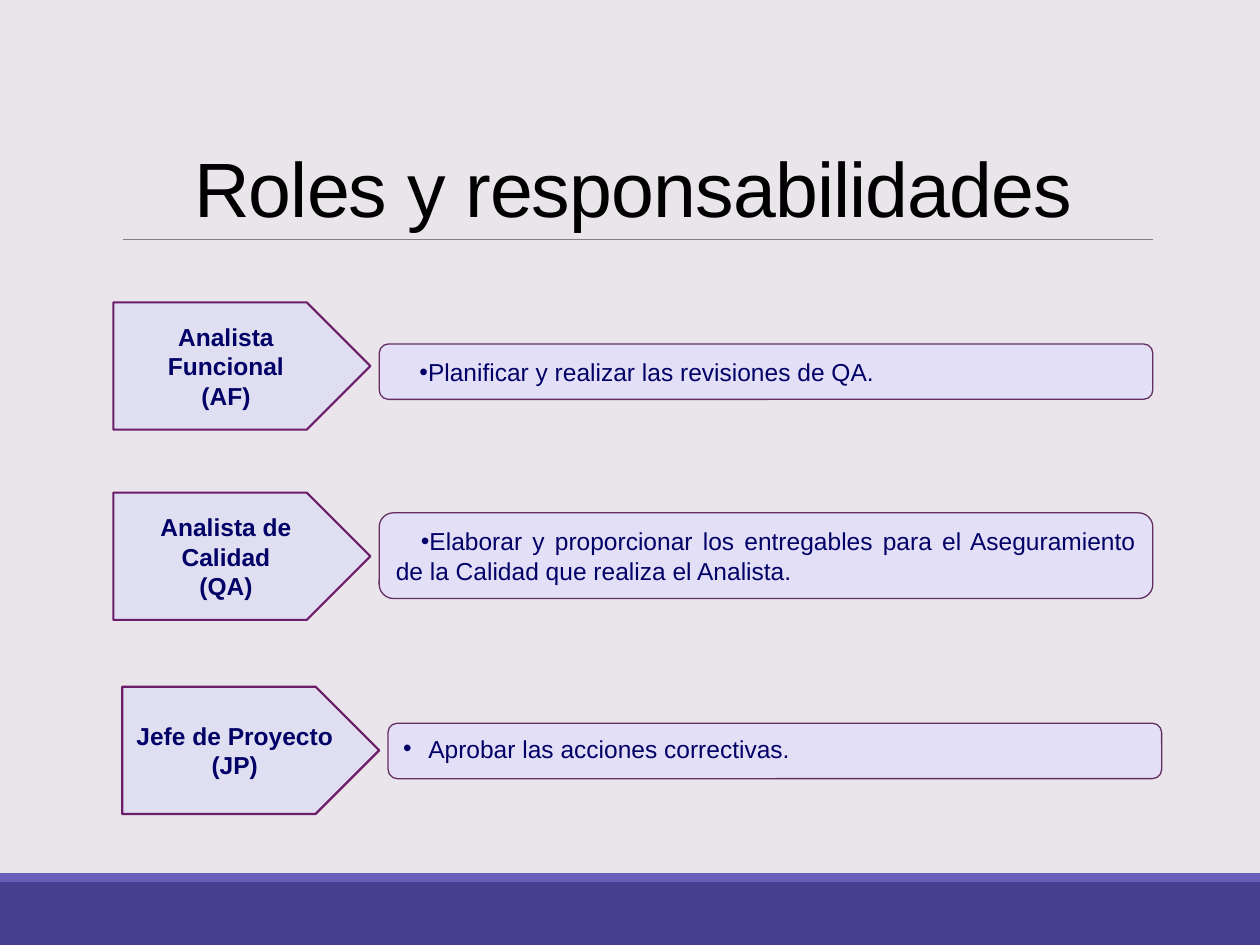
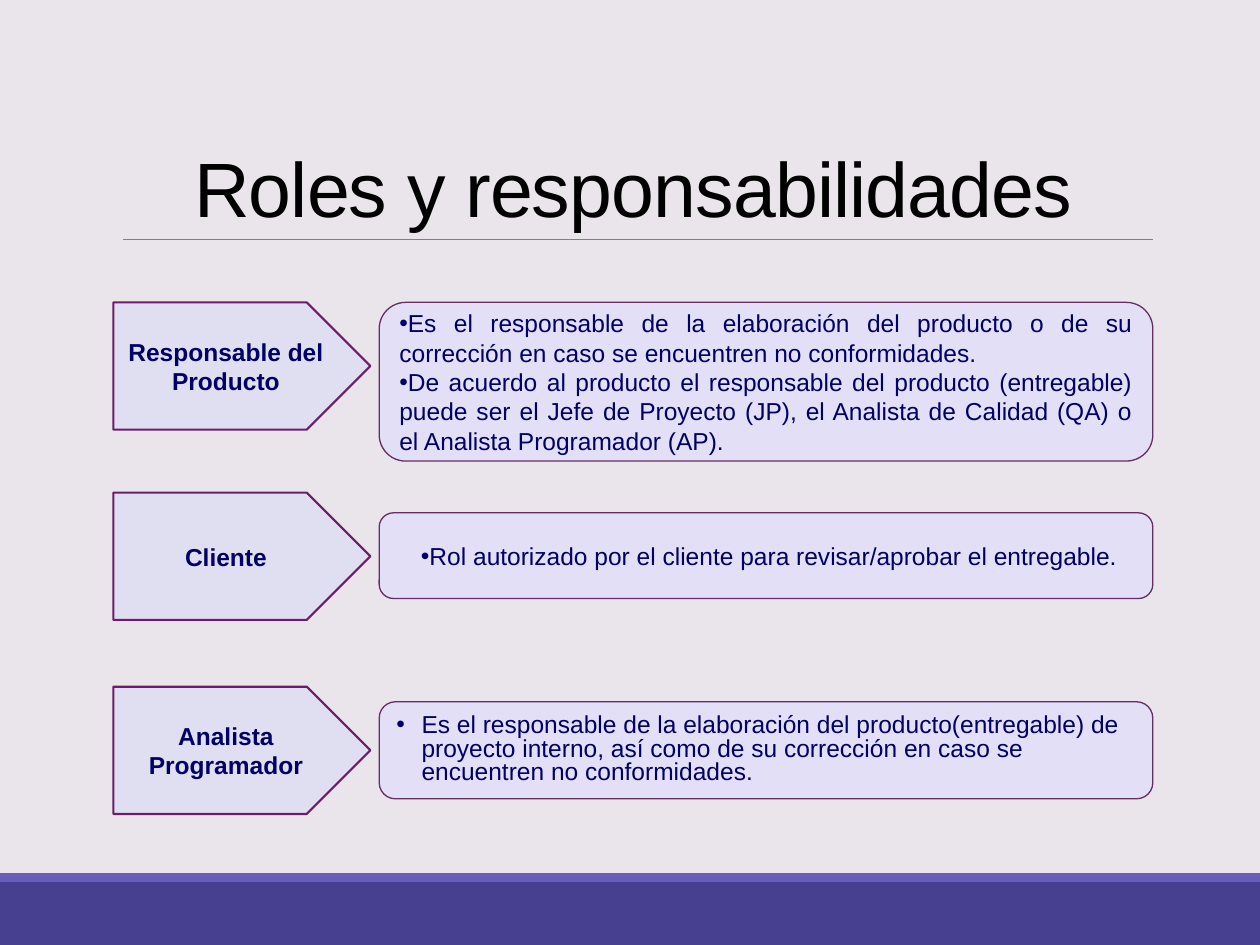
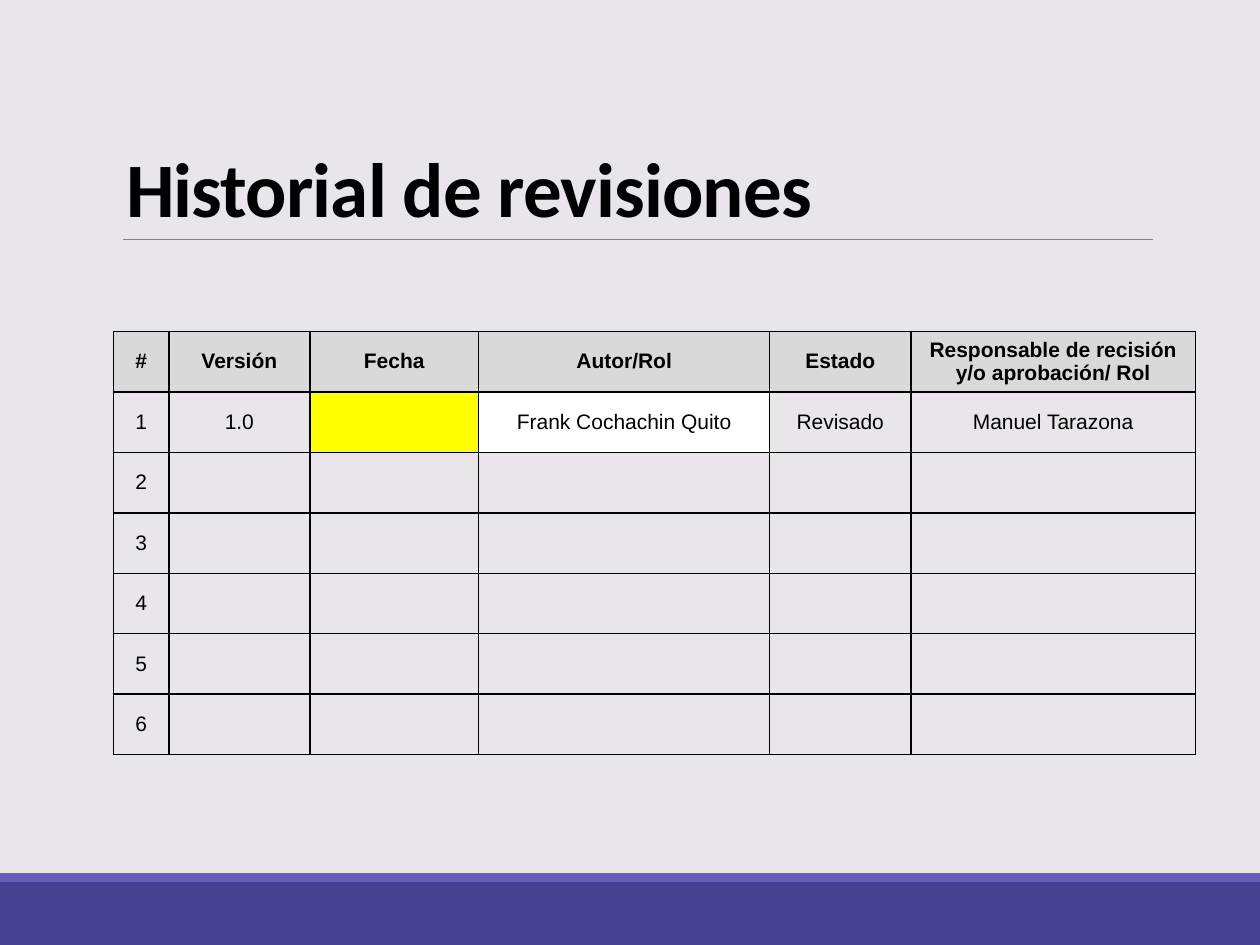
from lxml import etree
from pptx import Presentation, util as u
from pptx.dml.color import RGBColor
from pptx.enum import shapes, text
from pptx.oxml import ns

HUES = {
    "back": "EAE5EB", "band": "474091", "strip": "665EB8", "rule": "808080",
    "ink": "000000", "navy": "000066", "role": "E0DFF1", "edge": "6C1D6A",
    "duty": "E3DFF7", "rim": "632E62", "head": "D9D9D9", "mark": "FFFF00",
    "white": "FFFFFF",
}
RGB = {name: RGBColor.from_string(code) for name, code in HUES.items()}
WIDE, HIGH = 10, 7.5
LEFT, RIGHT = 0.9, 9.15
MID, LEAD, JUST = text.PP_ALIGN.CENTER, text.PP_ALIGN.LEFT, text.PP_ALIGN.JUSTIFY
KIND = shapes.MSO_SHAPE


def style(par, size, hue, align, bold=False, face="Arial"):
    """Align a paragraph and format all its runs."""
    par.alignment = align
    for run in par.runs:
        font = run.font
        font.name, font.size, font.bold = face, u.Pt(size), bold
        font.color.rgb = RGB[hue]


def draw(slide, kind, box, fill, edge=None, width=0):
    """Add a flat shape at box (left, top, width, height in inches)."""
    shape = slide.shapes.add_shape(kind, *[u.Inches(n) for n in box])
    shape.shadow.inherit = False
    shape.fill.solid()
    shape.fill.fore_color.rgb = RGB[fill]
    if edge:
        shape.line.color.rgb = RGB[edge]
        shape.line.width = u.Pt(width)
    else:
        shape.line.fill.background()
    return shape


deck = Presentation()
deck.slide_width, deck.slide_height = u.Inches(WIDE), u.Inches(HIGH)
look = deck.slide_layouts[5]
look.background.fill.solid()
look.background.fill.fore_color.rgb = RGB["back"]

# Title frame shared through the layout
frame = look.placeholders[0]
frame.left, frame.top = u.Inches(LEFT), u.Inches(0.31)
frame.width, frame.height = u.Inches(RIGHT - LEFT), u.Inches(1.59)
frame.text_frame.vertical_anchor = text.MSO_ANCHOR.BOTTOM

titles = [
    ("Roles y responsabilidades", MID, "Arial", False),
    ("Roles y responsabilidades", MID, "Arial", False),
    ("Historial de revisiones", LEAD, "Calibri", True),
]
slides = []
for words, align, face, bold in titles:
    slide = deck.slides.add_slide(look)
    slide.shapes.title.text_frame.text = words
    par = slide.shapes.title.text_frame.paragraphs[0]
    par.line_spacing = 0.85
    style(par, 44, "ink", align, bold, face)
    par.runs[0]._r.get_or_add_rPr().set("spc", "-50")
    slides.append(slide)

# Footer bands and title rule, moved from the first slide to the layout
band = draw(slides[0], KIND.RECTANGLE, (0, 7, WIDE, 0.5), "band")
strip = draw(slides[0], KIND.RECTANGLE, (0, 6.93, WIDE, 0.07), "strip")
rule = slides[0].shapes.add_connector(
    shapes.MSO_CONNECTOR.STRAIGHT, *[u.Inches(n) for n in (0.98, 1.9, RIGHT, 1.9)])
rule.line.color.rgb = RGB["rule"]
rule.line.width = u.Pt(0.5)
etree.SubElement(rule.element.spPr, ns.qn("a:effectLst"))
for part in (band, strip, rule):
    look.shapes.element.append(part.element)

# Roles: name, shift, duty top, duty height, margin, indent, duties
ROWS = [2.4, 3.91, 5.45]
roles = [
    [
        ("Analista Funcional\n(AF)", 0, 2.73, 0.44, 0, 0.2,
         "Planificar y realizar las revisiones de QA."),
        ("Analista de Calidad\n(QA)", 0, 4.07, 0.68, 0, 0.2,
         "Elaborar y proporcionar los entregables para el Aseguramiento "
         "de la Calidad que realiza el Analista."),
        ("Jefe de Proyecto\n(JP)", 0.07, 5.74, 0.44, 0.2, -0.2,
         "Aprobar las acciones correctivas."),
    ],
    [
        ("Responsable del Producto", 0, 2.4, 1.26, 0, 0,
         "Es el responsable de la elaboración del producto o de su "
         "corrección en caso se encuentren no conformidades.\n"
         "De acuerdo al producto el responsable del producto (entregable) "
         "puede ser el Jefe de Proyecto (JP), el Analista de Calidad (QA) "
         "o el Analista Programador (AP)."),
        ("Cliente", 0, 4.07, 0.68, 0, 0.2,
         "Rol autorizado por el cliente para revisar/aprobar el entregable."),
        ("Analista Programador", 0, 5.57, 0.77, 0.2, -0.2,
         "Es el responsable de la elaboración del producto(entregable) de "
         "proyecto interno, así como de su corrección en caso se "
         "encuentren no conformidades."),
    ],
]
for slide, group in zip(slides, roles):
    for row, (name, shift, top, tall, margin, indent, duties) in zip(ROWS, group):
        role = draw(slide, KIND.PENTAGON, (LEFT + shift, row, 2.04, 1.01),
                    "role", "edge", 1.25)
        role.text_frame.text = name
        for par in role.text_frame.paragraphs:
            style(par, 14, "navy", MID, True)

        duty = draw(slide, KIND.ROUNDED_RECTANGLE, (3.01 + shift, top, 6.14, tall),
                    "duty", "rim", 0.75)
        duty.text_frame.text = duties
        for par in duty.text_frame.paragraphs:
            hang = indent < 0
            style(par, 14, "navy", LEAD if hang else JUST)
            if hang:
                par.line_spacing = 0.8
                par.space_before = par.space_after = u.Pt(3.5)
            props = par._p.get_or_add_pPr()
            props.set("marL", str(u.Inches(margin)))
            props.set("indent", str(u.Inches(indent)))
            etree.SubElement(props, ns.qn("a:buFont")).set("typeface", "Arial")
            etree.SubElement(props, ns.qn("a:buChar")).set("char", "•")
        for shape in (role, duty):
            shape.text_frame.word_wrap = True
            shape.text_frame.vertical_anchor = text.MSO_ANCHOR.MIDDLE

# Revision history
COLS = [0.44, 1.12, 1.34, 2.31, 1.12, 2.26]
TALL = 0.48
lines = [
    ["#", "Versión", "Fecha", "Autor/Rol", "Estado",
     "Responsable de recisión y/o aprobación/ Rol"],
    ["1", "1.0", "", "Frank Cochachin Quito", "Revisado", "Manuel Tarazona"],
] + [[str(n)] + [""] * 5 for n in range(2, 7)]
fills = {(1, 2): "mark", (1, 3): "white"}
fills.update({(0, c): "head" for c in range(len(COLS))})

grid = slides[2].shapes.add_table(
    len(lines), len(COLS), u.Inches(LEFT), u.Inches(2.63),
    u.Inches(sum(COLS)), u.Inches(TALL * len(lines))).table
grid.first_row = grid.horz_banding = False
for col, width in zip(grid.columns, COLS):
    col.width = u.Inches(width)
for r, line in enumerate(lines):
    grid.rows[r].height = u.Inches(TALL)
    for c, words in enumerate(line):
        cell = grid.cell(r, c)
        cell.margin_top = cell.margin_bottom = u.Inches(0.03)
        cell.vertical_anchor = text.MSO_ANCHOR.MIDDLE
        cell.text_frame.text = words
        style(cell.text_frame.paragraphs[0], 12, "ink", MID, r == 0)
        props = cell._tc.get_or_add_tcPr()
        for side in ("lnL", "lnR", "lnT", "lnB"):
            edge = etree.SubElement(props, ns.qn("a:" + side), w=str(u.Pt(1)))
            paint = etree.SubElement(edge, ns.qn("a:solidFill"))
            etree.SubElement(paint, ns.qn("a:srgbClr"), val=HUES["ink"])
        if (r, c) in fills:
            cell.fill.solid()
            cell.fill.fore_color.rgb = RGB[fills[r, c]]
        else:
            cell.fill.background()

deck.save("out.pptx")
